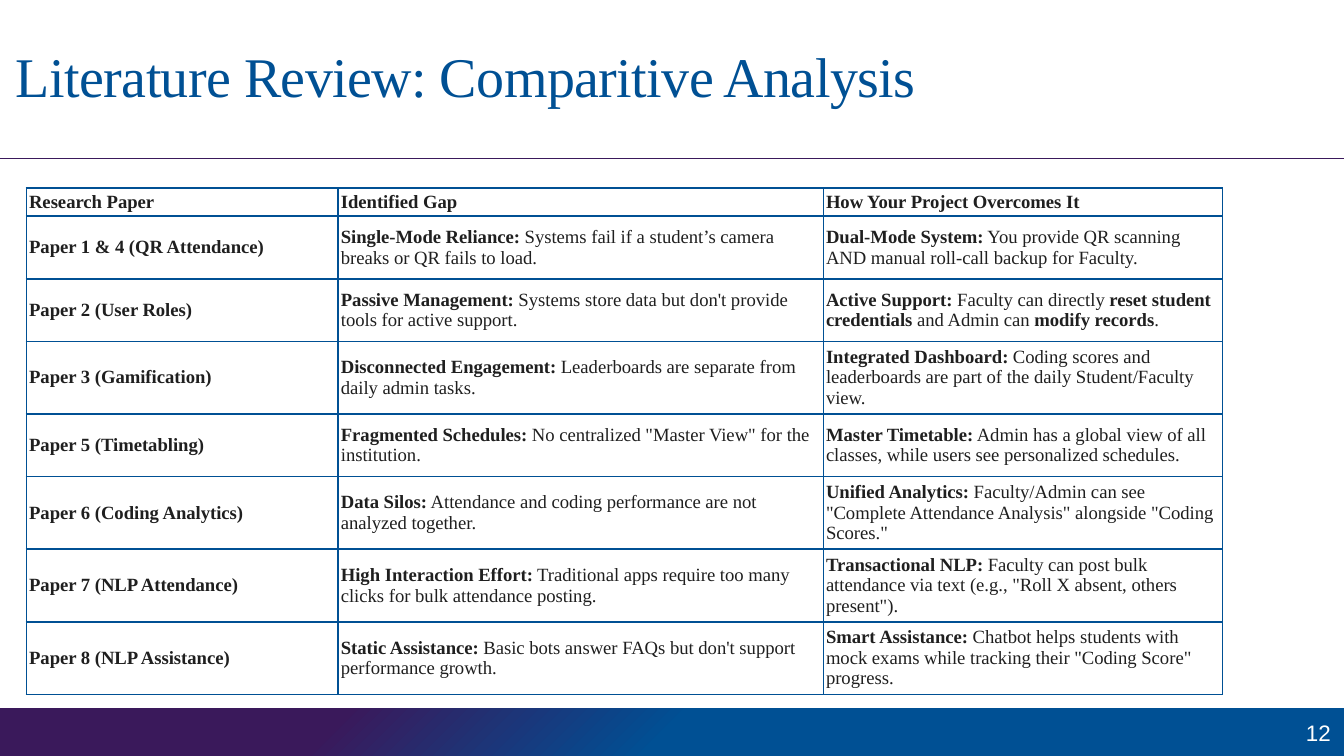
"""Builds the literature review slide with its comparison table."""
import dataclasses

import pptx
import pptx.dml.color
import pptx.enum.shapes
import pptx.enum.text
import pptx.oxml
import pptx.util

NS = 'xmlns:a="http://schemas.openxmlformats.org/drawingml/2006/main"'
ANCHOR = pptx.enum.text.MSO_ANCHOR
ALIGN = pptx.enum.text.PP_ALIGN


@dataclasses.dataclass(frozen=True)
class Theme:
    blue: str = "005094"
    purple: str = "3A195B"
    ink: str = "1F1F1F"
    white: str = "FFFFFF"
    serif: str = "Times New Roman"
    sans: str = "Arial"
    title: int = 30
    page: int = 12
    body: int = 10


def color(code):
    return pptx.dml.color.RGBColor.from_string(code)


def write(frame, text, *, size, font, ink, align=ALIGN.LEFT, indent=0, track=0):
    para = frame.paragraphs[0]
    para.alignment = align
    if indent:
        para._p.get_or_add_pPr().set("marL", str(pptx.util.Inches(indent)))
    for part, words in enumerate(text.split("**")):
        if words:
            run = para.add_run()
            run.text = words
            run.font.size = pptx.util.Pt(size)
            run.font.name = font
            run.font.bold = part % 2 == 1
            run.font.color.rgb = color(ink)
            if track:
                run._r.get_or_add_rPr().set("spc", str(round(track * 100)))


class Deck:
    cols, rows = 160, 90

    def __init__(self, theme):
        self.theme = theme
        self.show = pptx.Presentation()
        self.show.slide_width = pptx.util.Inches(10)
        self.show.slide_height = self.show.slide_width * 9 // 16
        self.slide = self.show.slides.add_slide(self.show.slide_layouts[6])
        self.shapes = self.slide.shapes

    def across(self, count):
        return round(self.show.slide_width * count / self.cols)

    def down(self, count):
        return round(self.show.slide_height * count / self.rows)

    def place(self, left, top, width, height):
        return self.across(left), self.down(top), self.across(width), self.down(height)

    def band(self, *area):
        kind = pptx.enum.shapes.MSO_SHAPE.RECTANGLE
        shape = self.shapes.add_shape(kind, *self.place(*area))
        shape.shadow.inherit = False
        shape.line.fill.background()
        look = self.theme
        stops = "".join(
            f'<a:gs pos="{spot * 1000}"><a:srgbClr val="{code}"/></a:gs>'
            for spot, code in ((0, look.blue), (50, look.blue), (75, look.purple))
        )
        fill = pptx.oxml.parse_xml(
            f'<a:gradFill {NS} rotWithShape="1"><a:gsLst>{stops}</a:gsLst>'
            '<a:path path="circle"><a:fillToRect l="100000" t="100000"/></a:path>'
            "</a:gradFill>"
        )
        shape._element.spPr.find(pptx.oxml.ns.qn("a:prstGeom")).addnext(fill)

    def rule(self, row):
        kind = pptx.enum.shapes.MSO_CONNECTOR.STRAIGHT
        edge = self.down(row)
        line = self.shapes.add_connector(kind, 0, edge, self.across(self.cols), edge)
        line.line.color.rgb = color(self.theme.purple)
        line.line.width = pptx.util.Pt(0.75)
        line._element.spPr.append(pptx.oxml.parse_xml(f"<a:effectLst {NS}/>"))

    def label(self, text, *area, inset=None, anchor=ANCHOR.TOP, **style):
        frame = self.shapes.add_textbox(*self.place(*area)).text_frame
        frame.word_wrap = True
        frame.vertical_anchor = anchor
        if inset is not None:
            frame.margin_left = frame.margin_right = frame.margin_bottom = 0
            frame.margin_top = pptx.util.Inches(inset)
        write(frame, text, **style)

    def frame(self, cell):
        cell.fill.background()
        for spot, side in enumerate("LRTB"):
            edge = pptx.oxml.parse_xml(
                f'<a:ln{side} {NS} w="{pptx.util.Pt(1)}"><a:solidFill>'
                f'<a:srgbClr val="{self.theme.blue}"/></a:solidFill></a:ln{side}>'
            )
            cell._tc.get_or_add_tcPr().insert(spot, edge)

    def table(self, data, left, top, widths, heights):
        area = self.place(left, top, sum(widths), sum(heights))
        grid = self.shapes.add_table(len(data), len(widths), *area).table
        grid.first_row = grid.horz_banding = False
        for col, width in zip(grid.columns, widths):
            col.width = self.across(width)
        for row, height in zip(grid.rows, heights):
            row.height = self.down(height)
        look = self.theme
        for row, texts in zip(grid.rows, data):
            for cell, text in zip(row.cells, texts):
                self.frame(cell)
                cell.vertical_anchor = ANCHOR.MIDDLE
                cell.margin_left = cell.margin_right = pptx.util.Inches(0.02)
                cell.margin_top = cell.margin_bottom = pptx.util.Inches(0.02)
                write(cell.text_frame, text, size=look.body, font=look.serif, ink=look.ink)


DATA = [
    ("**Research Paper**", "**Identified Gap**", "**How Your Project Overcomes It**"),
    ("**Paper 1 & 4 (QR Attendance)**",
     "**Single-Mode Reliance:** Systems fail if a student’s camera breaks or QR fails to load.",
     "**Dual-Mode System:** You provide QR scanning AND manual roll-call backup for Faculty."),
    ("**Paper 2 (User Roles)**",
     "**Passive Management:** Systems store data but don't provide tools for active support.",
     "**Active Support:** Faculty can directly **reset student credentials** and Admin can "
     "**modify records**."),
    ("**Paper 3 (Gamification)**",
     "**Disconnected Engagement:** Leaderboards are separate from daily admin tasks.",
     "**Integrated Dashboard:** Coding scores and leaderboards are part of the daily "
     "Student/Faculty view."),
    ("**Paper 5 (Timetabling)**",
     '**Fragmented Schedules:** No centralized "Master View" for the institution.',
     "**Master Timetable:** Admin has a global view of all classes, while users see "
     "personalized schedules."),
    ("**Paper 6 (Coding Analytics)**",
     "**Data Silos:** Attendance and coding performance are not analyzed together.",
     '**Unified Analytics:** Faculty/Admin can see "Complete Attendance Analysis" alongside '
     '"Coding Scores."'),
    ("**Paper 7 (NLP Attendance)**",
     "**High Interaction Effort:** Traditional apps require too many clicks for bulk "
     "attendance posting.",
     '**Transactional NLP:** Faculty can post bulk attendance via text (e.g., "Roll X absent, '
     'others present").'),
    ("**Paper 8 (NLP Assistance)**",
     "**Static Assistance:** Basic bots answer FAQs but don't support performance growth.",
     "**Smart Assistance:** Chatbot helps students with mock exams while tracking their "
     '"Coding Score" progress.'),
]


def main():
    look = Theme()
    deck = Deck(look)
    deck.band(0, 84.3, 160, 5.7)
    deck.rule(18.87)
    deck.label("12", 151, 84.3, 9, 5.7, anchor=ANCHOR.MIDDLE, align=ALIGN.RIGHT,
               size=look.page, font=look.sans, ink=look.white)
    deck.label("Literature Review: Comparitive Analysis", 1.1, 3.4, 130, 9.3, inset=0.1,
               indent=0.05, track=-0.3, size=look.title, font=look.serif, ink=look.blue)
    deck.table(DATA, 3.15, 22.4, (37.12, 57.76, 47.5), [3.35] + [7.45] * 7)
    deck.show.save("out.pptx")


if __name__ == "__main__":
    main()
